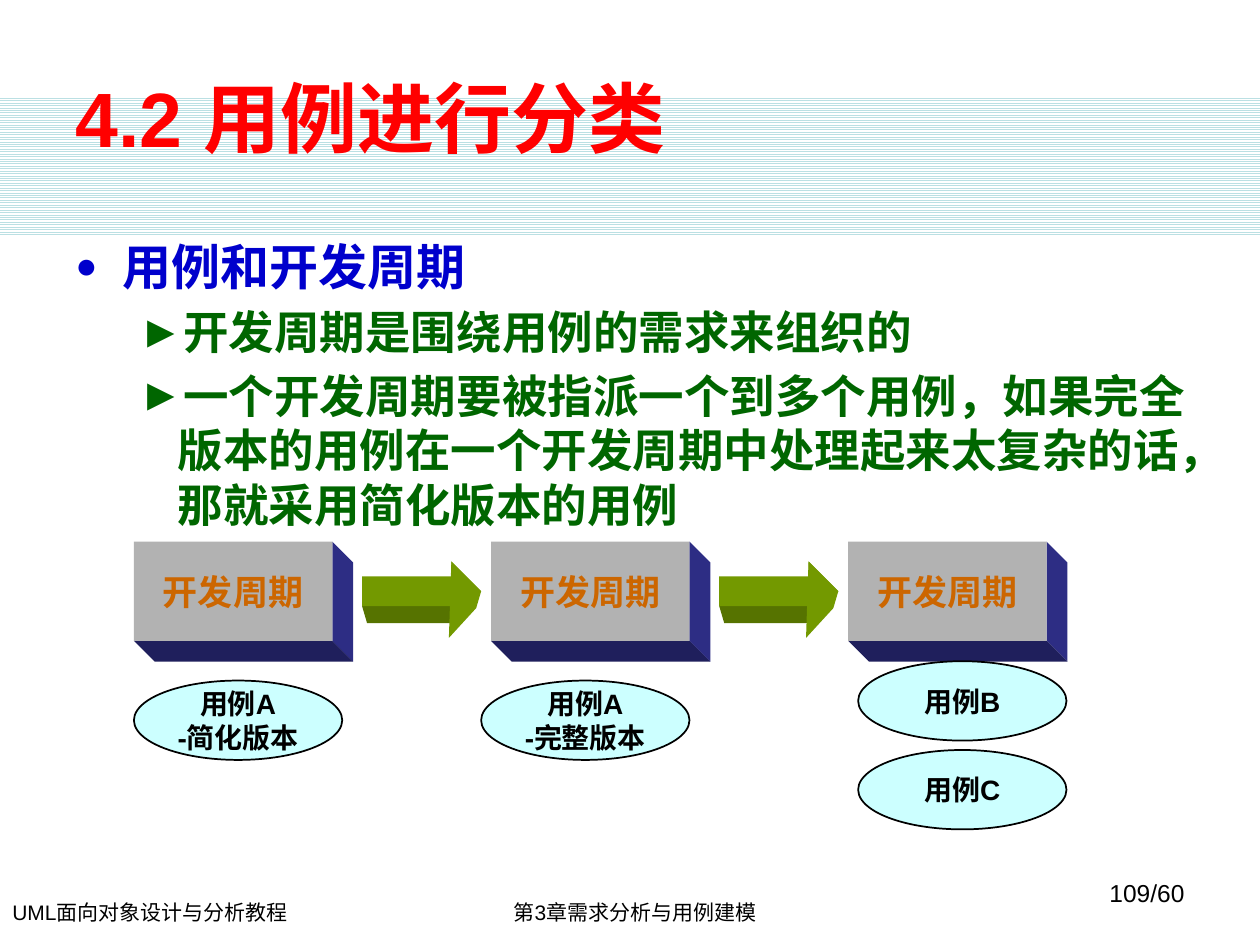
from dataclasses import dataclass

from lxml.etree import SubElement
from pptx import Presentation
from pptx.dml.color import RGBColor
from pptx.enum.dml import MSO_PATTERN as Pattern
from pptx.enum.shapes import MSO_SHAPE as Shape
from pptx.enum.text import MSO_ANCHOR as Anchor, PP_ALIGN as Align
from pptx.oxml.ns import qn
from pptx.util import Cm, Pt


@dataclass(frozen=True)
class Theme:
    latin: str = "Arial"
    cjk: str = "Noto Sans CJK SC"
    white: str = "FFFFFF"
    black: str = "000000"
    stripe: str = "BBE0E3"
    title: str = "FF0000"
    heading: str = "0000CC"
    detail: str = "006600"
    cycle: str = "CC6600"
    block: str = "B2B2B2"
    block_right: str = "2D2D84"
    block_bottom: str = "1F1F5C"
    arrow: str = "739900"
    arrow_side: str = "567300"
    case: str = "CCFFFF"
    title_size: int = 44
    heading_size: int = 28
    detail_size: int = 26
    cycle_size: int = 20
    case_size: int = 16
    number_size: int = 14
    footer_size: int = 12


class SlideBuilder:
    def __init__(self, page, theme):
        self.page = page
        self.theme = theme

    def style(self, para, size, color, bold=False, font=None):
        for span in para.runs:
            span.font.name = font or self.theme.latin
            span.font.size = Pt(size)
            span.font.bold = bold
            span.font.color.rgb = RGBColor.from_string(color)
            east_asian = SubElement(span.font._element, qn("a:ea"))
            east_asian.set("typeface", self.theme.cjk)

    def paint(self, shape, fill, line=None):
        shape.shadow.inherit = False
        shape.fill.solid()
        shape.fill.fore_color.rgb = RGBColor.from_string(fill)
        if line:
            shape.line.color.rgb = RGBColor.from_string(line)
            shape.line.width = Pt(1)
        else:
            shape.line.fill.background()

    def preset(self, kind, left, top, width, height, fill, line=None):
        shape = self.page.shapes.add_shape(
            kind, Cm(left), Cm(top), Cm(width), Cm(height))
        self.paint(shape, fill, line)
        return shape

    def outline(self, points, fill):
        corners = [(Cm(x), Cm(y)) for x, y in points]
        builder = self.page.shapes.build_freeform(*corners[0])
        builder.add_line_segments(corners[1:], close=True)
        self.paint(builder.convert_to_shape(), fill)

    def label(self, shape, text, size, color):
        frame = shape.text_frame
        frame.text = text
        frame.word_wrap = False
        frame.vertical_anchor = Anchor.MIDDLE
        for para in frame.paragraphs:
            para.alignment = Align.CENTER
            self.style(para, size, color, bold=True)

    def text(self, text, left, top, width, height, size, color,
             align=Align.LEFT, bold=False, anchor=Anchor.TOP, inset=0.25):
        box = self.page.shapes.add_textbox(
            Cm(left), Cm(top), Cm(width), Cm(height))
        frame = box.text_frame
        frame.text = text
        frame.word_wrap = True
        frame.margin_left = Cm(inset)
        frame.vertical_anchor = anchor
        frame.paragraphs[0].alignment = align
        self.style(frame.paragraphs[0], size, color, bold)

    def bullet(self, para, mark, margin, hanging, percent=100):
        props = para._p.get_or_add_pPr()
        props.set("marL", str(Cm(margin)))
        props.set("indent", str(-Cm(hanging)))
        SubElement(props, qn("a:buSzPct")).set("val", str(percent * 1000))
        SubElement(props, qn("a:buFont")).set("typeface", self.theme.latin)
        SubElement(props, qn("a:buChar")).set("char", mark)

    def bullets(self, heading, details, left, top, width, height):
        theme = self.theme
        box = self.page.shapes.add_textbox(
            Cm(left), Cm(top), Cm(width), Cm(height))
        frame = box.text_frame
        frame.text = "\n".join([heading, *details])
        frame.word_wrap = True
        first, *rest = frame.paragraphs
        self.bullet(first, "●", 0.95, 0.95, 75)
        self.style(first, theme.heading_size, theme.heading, True, theme.cjk)
        for para in rest:
            para.level = 1
            para.space_before = Pt(5)
            self.bullet(para, "►", 2.06, 0.79)
            self.style(para, theme.detail_size, theme.detail, True, theme.cjk)

    def stripes(self, left, top, width, height):
        band = self.preset(Shape.RECTANGLE, left, top, width, height,
                           self.theme.white)
        band.fill.patterned()
        band.fill.pattern = Pattern.LIGHT_HORIZONTAL
        band.fill.fore_color.rgb = RGBColor.from_string(self.theme.stripe)
        band.fill.back_color.rgb = RGBColor.from_string(self.theme.white)

    def block(self, text, left, top, width=4, height=2, depth=0.42):
        theme = self.theme
        right, bottom = left + width, top + height
        far_corner = (right + depth, bottom + depth)
        self.outline([(right, top), (right + depth, top + depth),
                      far_corner, (right, bottom)], theme.block_right)
        self.outline([(left, bottom), (right, bottom), far_corner,
                      (left + depth, bottom + depth)], theme.block_bottom)
        front = self.preset(Shape.RECTANGLE, left, top, width, height,
                            theme.block)
        self.label(front, text, theme.cycle_size, theme.cycle)

    def thick_arrow(self, left, top, width=2.4, height=1.2):
        theme = self.theme
        taper, depth = 0.1, 0.34
        tip, neck = left + width, left + width - height / 2
        middle, shaft_bottom = top + height / 2, top + height * 0.75
        self.outline([(left, shaft_bottom), (neck, shaft_bottom),
                      (neck, shaft_bottom + depth),
                      (left + taper, shaft_bottom + depth)], theme.arrow_side)
        self.outline([(neck, top), (tip, middle),
                      (tip - taper, middle + depth),
                      (neck - taper / 2, top + height + depth)], theme.arrow)
        self.preset(Shape.RIGHT_ARROW, left, top, width, height, theme.arrow)

    def use_case(self, text, left, top):
        oval = self.preset(Shape.OVAL, left, top, 4.2, 1.6,
                           self.theme.case, self.theme.black)
        self.label(oval, text, self.theme.case_size, self.theme.black)


def main():
    deck = Presentation()
    deck.slide_width, deck.slide_height = Cm(25.4), Cm(19.05)
    theme = Theme()
    slide = SlideBuilder(deck.slides.add_slide(deck.slide_layouts[6]), theme)

    # Band and footer
    slide.stripes(0, 1.93, 25.4, 2.8)
    slide.text("UML面向对象设计与分析教程", 0.25, 18, 8.6, 0.76,
               theme.footer_size, theme.black, inset=0)
    slide.text("第3章需求分析与用例建模", 8.5, 18, 8.6, 0.76,
               theme.footer_size, theme.black, Align.CENTER)
    slide.text("109/60", 18.2, 17.58, 5.93, 1.27,
               theme.number_size, theme.black, Align.RIGHT)

    # Title and bullets
    slide.text("4.2 用例进行分类", 1.27, 0.76, 22.86, 3.18, theme.title_size,
               theme.title, bold=True, anchor=Anchor.MIDDLE)
    slide.bullets("用例和开发周期", [
        "开发周期是围绕用例的需求来组织的",
        "一个开发周期要被指派一个到多个用例，如果完全版本的用例在一个开发周期中"
        "处理起来太复杂的话，那就采用简化版本的用例",
    ], 1.27, 4.65, 23.06, 5.92)

    # Development cycles joined by arrows
    pitch = 7.2
    for index in range(3):
        slide.block("开发周期", 2.7 + index * pitch, 10.92)
    for index in range(2):
        slide.thick_arrow(7.3 + index * pitch, 11.32)

    # Use cases under each cycle
    for text, left, top in [("用例A\n-简化版本", 2.7, 13.72),
                            ("用例A\n-完整版本", 9.7, 13.72),
                            ("用例B", 17.3, 13.33),
                            ("用例C", 17.3, 15.12)]:
        slide.use_case(text, left, top)

    deck.save("out.pptx")


if __name__ == "__main__":
    main()
